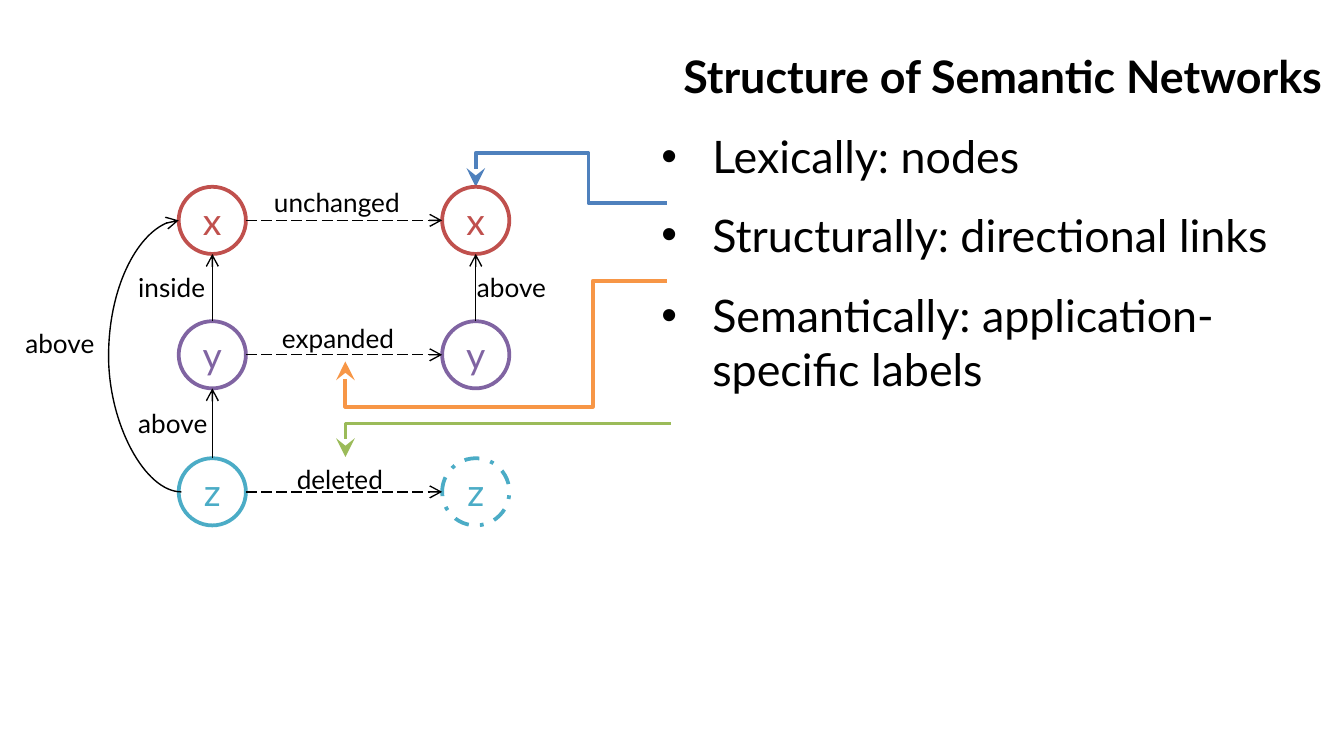
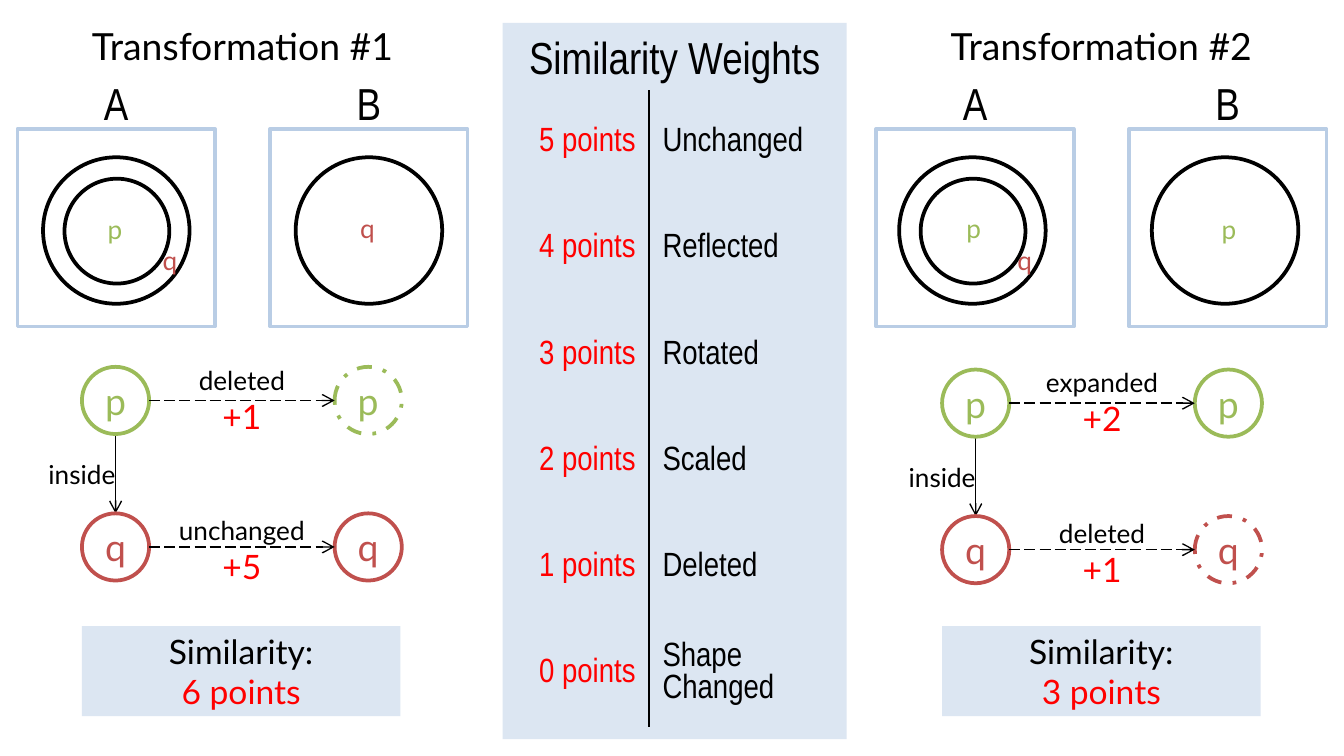
from lxml.etree import SubElement
from pptx import Presentation
from pptx.dml.color import RGBColor
from pptx.enum.dml import MSO_LINE
from pptx.enum.shapes import MSO_CONNECTOR as CONNECTOR, MSO_SHAPE as SHAPE
from pptx.enum.text import MSO_ANCHOR as ANCHOR, MSO_AUTO_SIZE as AUTO_SIZE, PP_ALIGN as ALIGN
from pptx.oxml.ns import qn
from pptx.util import Inches, Pt

COLORS = {
    "ink": "000000", "paper": "FFFFFF", "score": "FF0000",
    "blue": "4F81BD", "orange": "F79646", "green": "9BBB59",
    "red": "C0504D", "purple": "8064A2", "teal": "4BACC6",
    "frame": "B9CDE5", "panel": "DCE6F2",
}
SLIDE_WIDTH = 10
BODY_FONT = "Lato"
NARROW_FONT = "Arial Narrow"
NODE = 0.5
NO_MARGIN = (0, 0)
LETTER_COLORS = {"x": "red", "y": "purple", "z": "teal", "p": "green", "q": "red"}

WEIGHTS = ["Unchanged", "Reflected", "Rotated", "Scaled", "Deleted", "Shape Changed"]

TRANSFORMATIONS = [
    {"number": 1, "left": 0.13, "circles": 0.32, "graph": (0.61, 2.73), "total": 6,
     "marks": [("p", 0.8, 1.59), ("q", 1.21, 1.82), ("q", 2.68, 1.58)],
     "changes": [("p", "deleted", 1, 0.92), ("q", "unchanged", 5, 1.26)]},
    {"number": 2, "left": 6.52, "circles": 6.69, "graph": (7.01, 2.75), "total": 3,
     "marks": [("p", 7.19, 1.58), ("q", 7.57, 1.82), ("p", 9.09, 1.59)],
     "changes": [("p", "expanded", 2, 1.14), ("q", "deleted", 1, 0.92)]},
]


def rgb(name):
    return RGBColor.from_string(COLORS[name])


def inches(values):
    return [Inches(value) for value in values]


# Text
def write(frame, *lines, size=14, color="ink", font=BODY_FONT, bold=False,
          align=ALIGN.LEFT, anchor=ANCHOR.TOP, margins=(0.1, 0.05), wrap=True):
    """Fill a frame; a line is a string or (string, size, color)."""
    frame.word_wrap = wrap
    frame.vertical_anchor = anchor
    frame.margin_left = frame.margin_right = Inches(margins[0])
    frame.margin_top = frame.margin_bottom = Inches(margins[1])
    for index, line in enumerate(lines):
        text, line_size, line_color = (line, size, color) if isinstance(line, str) else line
        paragraph = frame.paragraphs[0] if index == 0 else frame.add_paragraph()
        paragraph.alignment = align
        run = paragraph.add_run()
        run.text = text
        run.font.size = Pt(line_size)
        run.font.name = font
        run.font.bold = bold
        run.font.color.rgb = rgb(line_color)


def add_label(slide, box, *lines, **text_format):
    frame = slide.shapes.add_textbox(*inches(box)).text_frame
    write(frame, *lines, **text_format)
    frame.auto_size = AUTO_SIZE.SHAPE_TO_FIT_TEXT


def add_bullet(paragraph, gap):
    paragraph.space_after = Pt(gap)
    properties = paragraph._p.get_or_add_pPr()
    properties.set("marL", str(Inches(0.38)))
    properties.set("indent", str(-Inches(0.38)))
    SubElement(properties, qn("a:buFont"), typeface="Arial")
    SubElement(properties, qn("a:buChar"), char="•")


# Shapes
def add_figure(slide, kind, box, fill=None, line=None):
    figure = slide.shapes.add_shape(kind, *inches(box))
    figure.shadow.inherit = False
    if fill:
        figure.fill.solid()
        figure.fill.fore_color.rgb = rgb(fill)
    else:
        figure.fill.background()
    if line:
        figure.line.color.rgb = rgb(line)
        figure.line.width = Pt(2)
    else:
        figure.line.fill.background()
    return figure


def add_node(slide, letter, left, top, dashed=False):
    color = LETTER_COLORS[letter]
    node = add_figure(slide, SHAPE.OVAL, (left, top, NODE, NODE), "paper", color)
    if dashed:
        node.line.dash_style = MSO_LINE.DASH_DOT
    write(node.text_frame, letter, size=20, color=color, align=ALIGN.CENTER,
          anchor=ANCHOR.MIDDLE, margins=NO_MARGIN)


# Connectors
def add_arrow(slide, start, end, kind=CONNECTOR.STRAIGHT, color="ink", width=0.75,
              dashed=False, head="arrow", head_size="med"):
    arrow = slide.shapes.add_connector(kind, *inches(start + end))
    arrow.line.color.rgb = rgb(color)
    arrow.line.width = Pt(width)
    if dashed:
        arrow.line.dash_style = MSO_LINE.LONG_DASH
    SubElement(arrow.line._get_or_add_ln(), qn("a:tailEnd"),
               type=head, w=head_size, len=head_size)
    SubElement(arrow._element.spPr, qn("a:effectLst"))
    return arrow


def route(arrow, preset, *adjustments):
    """Give a leftward connector its preset and bends, as a half turn."""
    properties = arrow._element.spPr
    transform = properties.find(qn("a:xfrm"))
    upward = transform.attrib.pop("flipV", None)
    transform.attrib.pop("flipH", None)
    transform.set("rot", "10800000")
    if not upward:
        transform.set("flipV", "1")
    geometry = properties.find(qn("a:prstGeom"))
    geometry.set("prst", preset)
    guides = geometry.find(qn("a:avLst"))
    if guides is None:
        guides = SubElement(geometry, qn("a:avLst"))
    for number, value in enumerate(adjustments, 1):
        SubElement(guides, qn("a:gd"), name=f"adj{number}",
                   fmla=f"val {round(value * 100000)}")


def add_pointer(slide, start, end, color, preset, *bends):
    pointer = add_arrow(slide, start, end, CONNECTOR.ELBOW, color, 2,
                        head="stealth", head_size="lg")
    route(pointer, preset, *bends)


# Weights table
def set_borders(cell, inner_side):
    properties = cell._tc.get_or_add_tcPr()
    for side in ("lnL", "lnR", "lnT", "lnB"):
        border = SubElement(properties, qn(f"a:{side}"), w=str(Pt(1)))
        if side == inner_side:
            fill = SubElement(border, qn("a:solidFill"))
            SubElement(fill, qn("a:srgbClr"), val=COLORS["ink"])
        else:
            SubElement(border, qn("a:noFill"))


def add_weights(slide):
    panel = add_figure(slide, SHAPE.RECTANGLE, (3.74, 0.17, 2.56, 5.33), "panel")
    write(panel.text_frame, "Similarity Weights", size=24, font=NARROW_FONT,
          align=ALIGN.CENTER)
    weights = slide.shapes.add_table(len(WEIGHTS), 2, *inches((3.91, 0.67, 2.22, 4.74))).table
    weights.first_row = weights.horz_banding = False
    for column, width in zip(weights.columns, (0.92, 1.3)):
        column.width = Inches(width)
    for row, change in enumerate(WEIGHTS):
        points = f"{len(WEIGHTS) - 1 - row} points"
        columns = [(points, "score", ALIGN.RIGHT, "lnR"), (change, "ink", ALIGN.LEFT, "lnL")]
        for column, (text, color, align, inner_side) in enumerate(columns):
            cell = weights.cell(row, column)
            set_borders(cell, inner_side)
            cell.fill.background()
            write(cell.text_frame, text, size=18, color=color, font=NARROW_FONT, align=align)
            cell.vertical_anchor = ANCHOR.MIDDLE


# One transformation: drawings, network and score
def add_transformation(slide, number, left, circles, graph, total, marks, changes):
    step = 1.88
    for offset in (0, step):
        add_figure(slide, SHAPE.OVAL, (circles + offset, 1.17, 1.09, 1.09), "paper", "ink")
    add_figure(slide, SHAPE.OVAL, (circles + 0.16, 1.33, 0.78, 0.78), "paper", "ink")
    for column, letter in enumerate("AB"):
        frame_left = left + column * step
        add_figure(slide, SHAPE.RECTANGLE, (frame_left, 0.96, 1.47, 1.47), line="frame")
        add_label(slide, (frame_left, 0.56, 1.47, 0.4), letter, size=24, font=NARROW_FONT,
                  align=ALIGN.CENTER, anchor=ANCHOR.BOTTOM, margins=NO_MARGIN)
    add_label(slide, (left, 0.12, 3.35, 0.44), f"Transformation #{number}", size=20,
              align=ALIGN.CENTER)
    for letter, x, y in marks:
        add_label(slide, (x, y, 0.12, 0.24), letter, color=LETTER_COLORS[letter],
                  margins=NO_MARGIN, wrap=False)

    node_left, top = graph
    row_gap = 1.09
    center = node_left + NODE / 2
    add_arrow(slide, (center, top + NODE), (center, top + row_gap))
    add_label(slide, (center - 0.56, top + 0.68, 0.56, 0.24), "inside",
              align=ALIGN.RIGHT, margins=NO_MARGIN, wrap=False)
    for row, (letter, change, points, width) in enumerate(changes):
        node_top = top + row * row_gap
        middle = node_top + NODE / 2
        add_node(slide, letter, node_left, node_top)
        add_node(slide, letter, node_left + step, node_top, dashed=change == "deleted")
        add_arrow(slide, (node_left + NODE, middle), (node_left + step, middle), dashed=True)
        label_left = node_left + (step + NODE - width) / 2
        label_top = node_top - 0.07 + row * 0.03
        add_label(slide, (label_left, label_top, width, 0.64), change,
                  (f"+{points}", 18, "score"), align=ALIGN.CENTER, wrap=False)

    score = add_figure(slide, SHAPE.RECTANGLE, (node_left, 4.66, 2.37, 0.67), "panel")
    write(score.text_frame, "Similarity:", (f"{total} points", 18, "score"), size=18,
          align=ALIGN.CENTER, anchor=ANCHOR.MIDDLE)


def build_structure(slide):
    # Pointers from the bullets into the network
    add_pointer(slide, (4.96, 1.51), (3.54, 1.39), "blue", "bentConnector4", 0.41, 3.1)
    add_pointer(slide, (4.96, 2.09), (2.57, 2.69), "orange", "bentConnector4", 0.23, 1.56)
    add_pointer(slide, (4.99, 3.15), (2.57, 3.4), "green", "bentConnector2")

    # Title and bullets
    title = slide.shapes.title
    title.left, title.top, title.width, title.height = inches((4.92, 0.31, 5.08, 0.5))
    write(title.text_frame, "Structure of Semantic Networks", size=24, bold=True,
          align=ALIGN.CENTER, margins=(0, 0.05))
    bullets = slide.shapes.add_textbox(*inches((4.92, 0.91, 5.08, 4.71))).text_frame
    write(bullets, "Lexically: nodes", "Structurally: directional links",
          "Semantically: application-specific labels", size=24, margins=(0, 0.05))
    for paragraph, gap in zip(bullets.paragraphs, (13.2, 14.4, 0)):
        add_bullet(paragraph, gap)

    # Network
    before, after = 1.33, 3.29
    tops = {"x": 1.39, "y": 2.39, "z": 3.41}
    for letter, top in tops.items():
        middle = top + NODE / 2
        add_node(slide, letter, before, top)
        add_node(slide, letter, after, top, dashed=letter == "z")
        add_arrow(slide, (before + NODE, middle), (after, middle), dashed=True)
    for column, lower, upper in ((before, "z", "y"), (before, "y", "x"), (after, "y", "x")):
        center = column + NODE / 2
        add_arrow(slide, (center, tops[lower]), (center, tops[upper] + NODE))
    around = add_arrow(slide, (1.35, 3.66), (1.33, 1.64), CONNECTOR.CURVE)
    route(around, "curvedConnector3", 27)

    # Link labels
    for text, left, top, width in (
            ("inside", 0.93, 1.97, 0.76), ("above", 0.93, 2.98, 0.75),
            ("above", 0.09, 2.39, 0.75), ("above", 3.45, 1.97, 0.75),
            ("unchanged", 1.94, 1.34, 1.26), ("expanded", 2, 2.35, 1.14),
            ("deleted", 2.11, 3.4, 0.92)):
        add_label(slide, (left, top, width, 0.34), text, wrap=False)


def build_similarity(slide):
    for transformation in TRANSFORMATIONS:
        add_transformation(slide, **transformation)
    add_weights(slide)


def main():
    deck = Presentation()
    deck.slide_width = Inches(SLIDE_WIDTH)
    deck.slide_height = Inches(SLIDE_WIDTH * 9 / 16)
    title_only, blank = deck.slide_layouts[5], deck.slide_layouts[6]
    build_structure(deck.slides.add_slide(title_only))
    build_similarity(deck.slides.add_slide(blank))
    deck.save("out.pptx")


if __name__ == "__main__":
    main()
